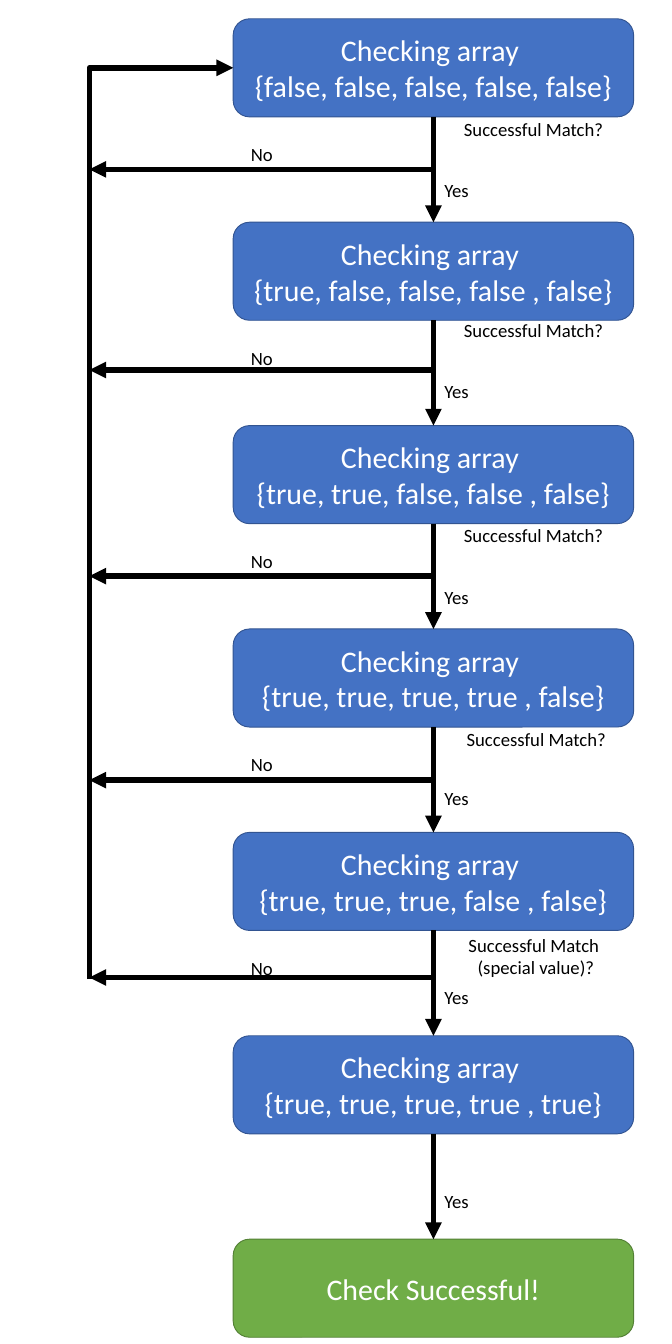
from dataclasses import dataclass

from lxml import etree
from pptx import Presentation
from pptx import util as u
from pptx.dml import color
from pptx.enum import shapes, text
from pptx.oxml import ns


@dataclass(frozen=True)
class Theme:
    font: str = "Calibri"
    step_size: int = 32
    label_size: int = 20
    arrow_width: int = 6
    white: str = "FFFFFF"
    black: str = "000000"
    blue: str = "4472C4"
    blue_edge: str = "325491"
    green: str = "70AD47"
    green_edge: str = "538035"


@dataclass(frozen=True)
class Step:
    array: str
    question: str = ""
    question_left: float = 6.79
    question_drop: float = -0.04
    branch_drop: float = 0.78
    yes_drop: float = 0.87


THEME = Theme()
STEP_LEFT, STEP_WIDTH, STEP_HEIGHT = 3.47, 5.96, 1.46
FIRST_TOP, LAST_TOP = 0.28, 18.44
RETURN_LEFT, RETURN_BOTTOM = 1.33, 14.57
MATCH = "Successful Match?"
STEPS = [
    Step("{false, false, false, false, false}", MATCH),
    Step("{true, false, false, false , false}", MATCH,
         question_drop=-0.07, branch_drop=0.74, yes_drop=0.84),
    Step("{true, true, false, false , false}", MATCH),
    Step("{true, true, true, true , false}", MATCH,
         question_left=6.83, branch_drop=0.79, yes_drop=0.84),
    Step("{true, true, true, false , false}", "Successful Match \n(special value)?",
         question_left=6.86, question_drop=0, branch_drop=0.7, yes_drop=0.78),
    Step("{true, true, true, true , true}", yes_drop=0.79),
]


def write(shape, content, size, colour):
    frame = shape.text_frame
    frame.text = content
    for paragraph in frame.paragraphs:
        paragraph.alignment = text.PP_ALIGN.CENTER
        for run in paragraph.runs:
            run.font.name = THEME.font
            run.font.size = u.Pt(size)
            run.font.color.rgb = color.RGBColor.from_string(colour)


def add_step(slide, top, content, fill, edge):
    shape = slide.shapes.add_shape(
        shapes.MSO_SHAPE.ROUNDED_RECTANGLE, u.Inches(STEP_LEFT), u.Inches(top),
        u.Inches(STEP_WIDTH), u.Inches(STEP_HEIGHT))
    shape.shadow.inherit = False
    shape.fill.solid()
    shape.fill.fore_color.rgb = color.RGBColor.from_string(fill)
    shape.line.color.rgb = color.RGBColor.from_string(edge)
    shape.line.width = u.Pt(1)
    shape.text_frame.vertical_anchor = text.MSO_ANCHOR.MIDDLE
    write(shape, content, THEME.step_size, THEME.white)
    return shape


def add_label(slide, left, top, width, height, content):
    label = slide.shapes.add_textbox(*map(u.Inches, (left, top, width, height)))
    label.text_frame.word_wrap = False
    label.text_frame.auto_size = text.MSO_AUTO_SIZE.SHAPE_TO_FIT_TEXT
    write(label, content, THEME.label_size, THEME.black)


def add_arrow(slide, start, end, kind=shapes.MSO_CONNECTOR.STRAIGHT):
    arrow = slide.shapes.add_connector(kind, *map(u.Inches, (*start, *end)))
    arrow.line.width = u.Pt(THEME.arrow_width)
    arrow.line.color.rgb = color.RGBColor.from_string(THEME.black)
    outline = arrow.line._get_or_add_ln()
    etree.SubElement(outline, ns.qn("a:tailEnd"), type="triangle")
    etree.SubElement(arrow._element.spPr, ns.qn("a:effectLst"))
    return arrow


def add_decision(slide, step, top):
    centre = STEP_LEFT + STEP_WIDTH / 2
    bottom = top + STEP_HEIGHT
    add_label(slide, centre + 0.06, bottom + step.yes_drop, 0.57, 0.44, "Yes")
    if not step.question:
        return
    branch = bottom + step.branch_drop
    add_arrow(slide, (centre, branch), (RETURN_LEFT, branch))
    add_label(slide, STEP_LEFT + 0.16, bottom + 0.34, 0.53, 0.44, "No")
    lines = step.question.count("\n")
    width, height = (2.23, 0.77) if lines else (2.3, 0.44)
    add_label(slide, step.question_left, bottom + step.question_drop,
              width, height, step.question)


def add_return(slide, first):
    middle = FIRST_TOP + STEP_HEIGHT / 2
    arrow = add_arrow(slide, (RETURN_LEFT, RETURN_BOTTOM), (STEP_LEFT, middle),
                      shapes.MSO_CONNECTOR.ELBOW)
    arrow.end_connect(first, 1)
    run, rise = STEP_LEFT - RETURN_LEFT, RETURN_BOTTOM - middle
    arrow.left = u.Inches((RETURN_LEFT + STEP_LEFT - rise) / 2)
    arrow.top = u.Inches((RETURN_BOTTOM + middle - run) / 2)
    arrow.width, arrow.height = u.Inches(rise), u.Inches(run)
    properties = arrow._element.spPr
    transform = properties.find(ns.qn("a:xfrm"))
    for name, value in (("rot", "5400000"), ("flipH", "1"), ("flipV", "1")):
        transform.set(name, value)
    properties.find(ns.qn("a:prstGeom")).set("prst", "bentConnector2")


def add_flow(slide):
    pitch = (LAST_TOP - FIRST_TOP) / len(STEPS)
    tops = [FIRST_TOP + pitch * index for index in range(len(STEPS))]
    boxes = [add_step(slide, top, "Checking array \n" + step.array,
                      THEME.blue, THEME.blue_edge)
             for step, top in zip(STEPS, tops)]
    boxes.append(add_step(slide, LAST_TOP, "Check Successful!",
                          THEME.green, THEME.green_edge))
    for upper, lower in zip(boxes, boxes[1:]):
        arrow = add_arrow(slide, (0, 0), (0, 1))
        arrow.begin_connect(upper, 2)
        arrow.end_connect(lower, 0)
    add_return(slide, boxes[0])
    for step, top in zip(STEPS, tops):
        add_decision(slide, step, top)


def main():
    presentation = Presentation()
    presentation.slide_width = u.Inches(10)
    presentation.slide_height = u.Inches(20)
    slide = presentation.slides.add_slide(presentation.slide_layouts[6])
    add_flow(slide)
    presentation.save("out.pptx")


if __name__ == "__main__":
    main()
